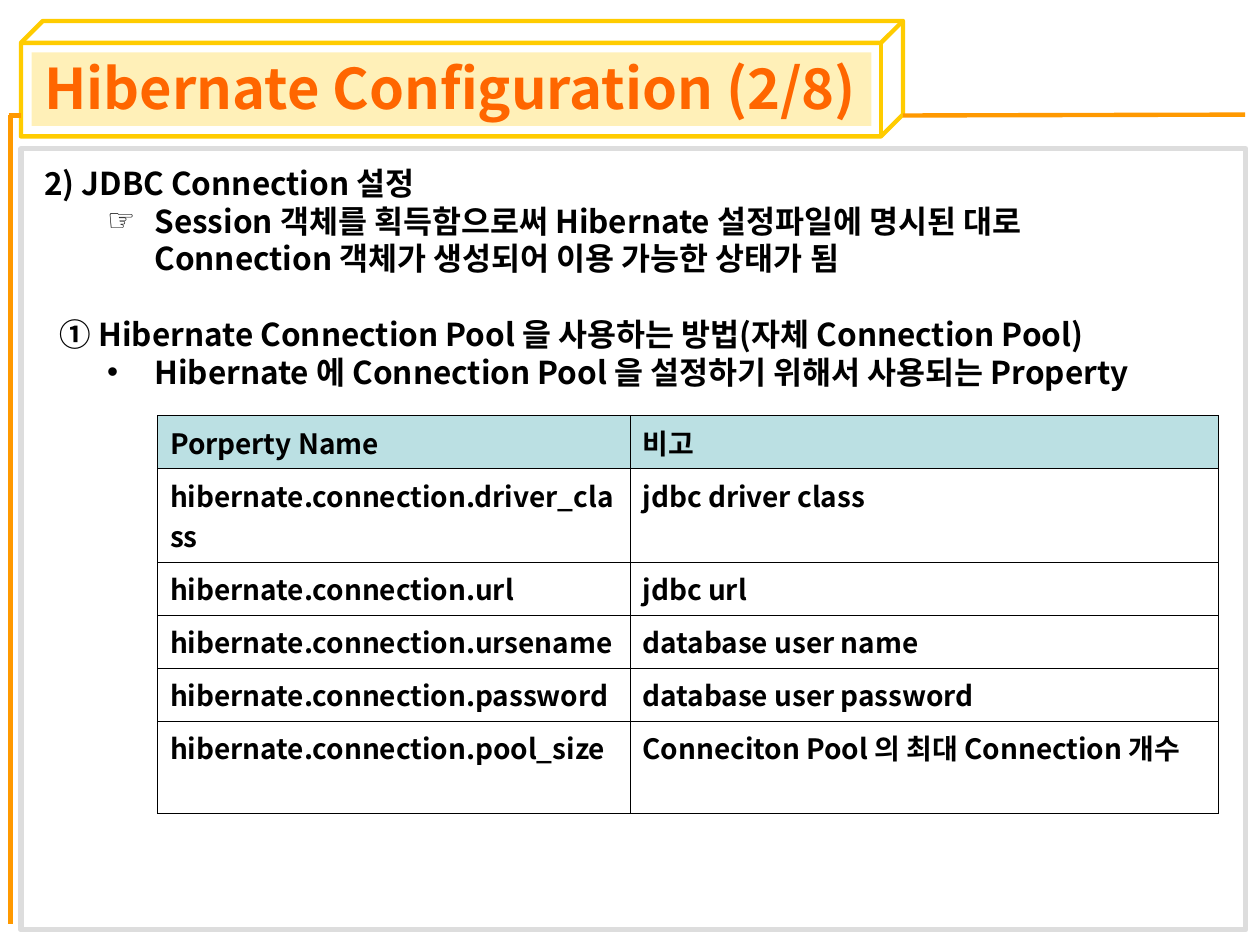
import lxml.etree
import pptx
import pptx.dml.color
import pptx.enum.shapes
import pptx.enum.text
import pptx.oxml.ns
import pptx.util

Pt = pptx.util.Pt
RGBColor = pptx.dml.color.RGBColor
SHAPE = pptx.enum.shapes.MSO_SHAPE
ANCHOR = pptx.enum.text.MSO_ANCHOR
qn = pptx.oxml.ns.qn

FONT = "Noto Sans CJK KR"
BLACK = RGBColor(0x00, 0x00, 0x00)
YELLOW = RGBColor(0xFF, 0xCC, 0x00)
ORANGE = RGBColor(0xFF, 0x99, 0x00)
TITLE_ORANGE = RGBColor(0xFF, 0x66, 0x00)
GREY = RGBColor(0xDD, 0xDD, 0xDD)
HEADER_TEAL = RGBColor(0xBB, 0xE0, 0xE3)


def add(parent, tag, **attributes):
    """Append a DrawingML element such as a:ln to parent."""
    return lxml.etree.SubElement(parent, qn(tag), attributes)


def set_font(p, size, color):
    p.font.size = Pt(size)
    p.font.bold = True
    p.font.name = FONT
    p.font.color.rgb = color
    add(p.font._element, "a:ea", typeface=FONT)


prs = pptx.Presentation()
prs.slide_width, prs.slide_height = Pt(720), Pt(540)
s = prs.slides.add_slide(prs.slide_layouts[1])
title, body = s.shapes.title, s.placeholders[1]

# Title box, its tinted band and the content frame
cube = s.shapes.add_shape(SHAPE.CUBE, Pt(12), Pt(12), Pt(504), Pt(66))
cube.adjustments[0] = 0.19
band = s.shapes.add_shape(SHAPE.RECTANGLE, Pt(18), Pt(30), Pt(480), Pt(42))
frame = s.shapes.add_shape(SHAPE.RECTANGLE, Pt(12), Pt(85), Pt(700), Pt(446.4))
for sp, color, width in [(cube, YELLOW, 2.5), (frame, GREY, 3)]:
    sp.shadow.inherit = False
    sp.fill.background()
    sp.line.color.rgb = color
    sp.line.width = Pt(width)
band.shadow.inherit = False
band.line.fill.background()
band.fill.solid()
band.fill.fore_color.rgb = YELLOW
add(band._element.spPr.find(".//" + qn("a:srgbClr")), "a:alpha", val="28000")

# Orange rules beside the title box
rules = [(6, 66, 6, 528), (516, 66, 711.5, 65.5), (5, 66, 12, 66)]
for x1, y1, x2, y2 in rules:
    rule = s.shapes.add_connector(
        pptx.enum.shapes.MSO_CONNECTOR.STRAIGHT, Pt(x1), Pt(y1), Pt(x2), Pt(y2))
    rule.line.color.rgb = ORANGE
    rule.line.width = Pt(2.5)
    add(rule._element.spPr, "a:effectLst")

# Bring the text in front of the frame
for placeholder in (body, title):
    s.shapes._spTree.append(placeholder._element)

title.left, title.top, title.width, title.height = Pt(18), Pt(27.4), Pt(648), Pt(44.6)
tf = title.text_frame
tf.auto_size = pptx.enum.text.MSO_AUTO_SIZE.NONE
tf.vertical_anchor = ANCHOR.MIDDLE
tf.margin_top = tf.margin_bottom = 0
p = tf.paragraphs[0]
p.text = "Hibernate Configuration (2/8)"
p.alignment = pptx.enum.text.PP_ALIGN.LEFT
p.line_spacing = Pt(38.4)
set_font(p, 32, TITLE_ORANGE)

# Text, bullet, left margin, first-line indent, space before
LINE = 21.6
items = [
    ("2) JDBC Connection 설정", None, 27, -27, 0),
    ("Session 객체를 획득함으로써 Hibernate 설정파일에 명시된 대로 "
     "Connection 객체가 생성되어 이용 가능한 상태가 됨", "☞", 63, -27, 0),
    ("① Hibernate Connection Pool 을 사용하는 방법(자체 Connection Pool)",
     None, 9, 0, LINE),
    ("Hibernate 에 Connection Pool 을 설정하기 위해서 사용되는 Property",
     "•", 63, -27, 0),
]
body.left, body.top, body.width, body.height = Pt(18), Pt(90), Pt(660), Pt(136.8)
tf = body.text_frame
tf.auto_size = pptx.enum.text.MSO_AUTO_SIZE.NONE
tf.vertical_anchor = ANCHOR.TOP
for i, (text, bullet, margin, indent, before) in enumerate(items):
    p = tf.paragraphs[0] if i == 0 else tf.add_paragraph()
    p.text = text
    p.level = 1 if bullet else 0
    pPr = p._p.get_or_add_pPr()
    pPr.set("marL", str(Pt(margin)))
    pPr.set("indent", str(Pt(indent)))
    if bullet:
        add(pPr, "a:buChar", char=bullet)
    else:
        add(pPr, "a:buNone")
    p.line_spacing = Pt(LINE)
    p.space_before = Pt(before)
    set_font(p, 18, BLACK)

# Property table
rows = [
    ("Porperty Name", "비고"),
    ("hibernate.connection.driver_class", "jdbc driver class"),
    ("hibernate.connection.url", "jdbc url"),
    ("hibernate.connection.ursename", "database user name"),
    ("hibernate.connection.password", "database user password"),
    ("hibernate.connection.pool_size", "Conneciton Pool 의 최대 Connection 개수"),
]
heights = [30, 53, 30, 30, 30, 53]
widths = [270, 336]
table = s.shapes.add_table(len(rows), len(widths), Pt(90), Pt(237.6),
                           Pt(sum(widths)), Pt(sum(heights))).table
table.first_row = table.horz_banding = False
for column, width in zip(table.columns, widths):
    column.width = Pt(width)
for r, (row, height) in enumerate(zip(rows, heights)):
    table.rows[r].height = Pt(height)
    for c, text in enumerate(row):
        cell = table.cell(r, c)
        cell.text = text
        set_font(cell.text_frame.paragraphs[0], 16, BLACK)
        tcPr = cell._tc.get_or_add_tcPr()
        for side in ("a:lnL", "a:lnR", "a:lnT", "a:lnB"):
            ln = add(tcPr, side, w=str(Pt(0.45)))
            add(add(ln, "a:solidFill"), "a:srgbClr", val=str(BLACK))
        if r == 0:
            cell.fill.solid()
            cell.fill.fore_color.rgb = HEADER_TEAL
        else:
            cell.fill.background()

prs.save("out.pptx")
